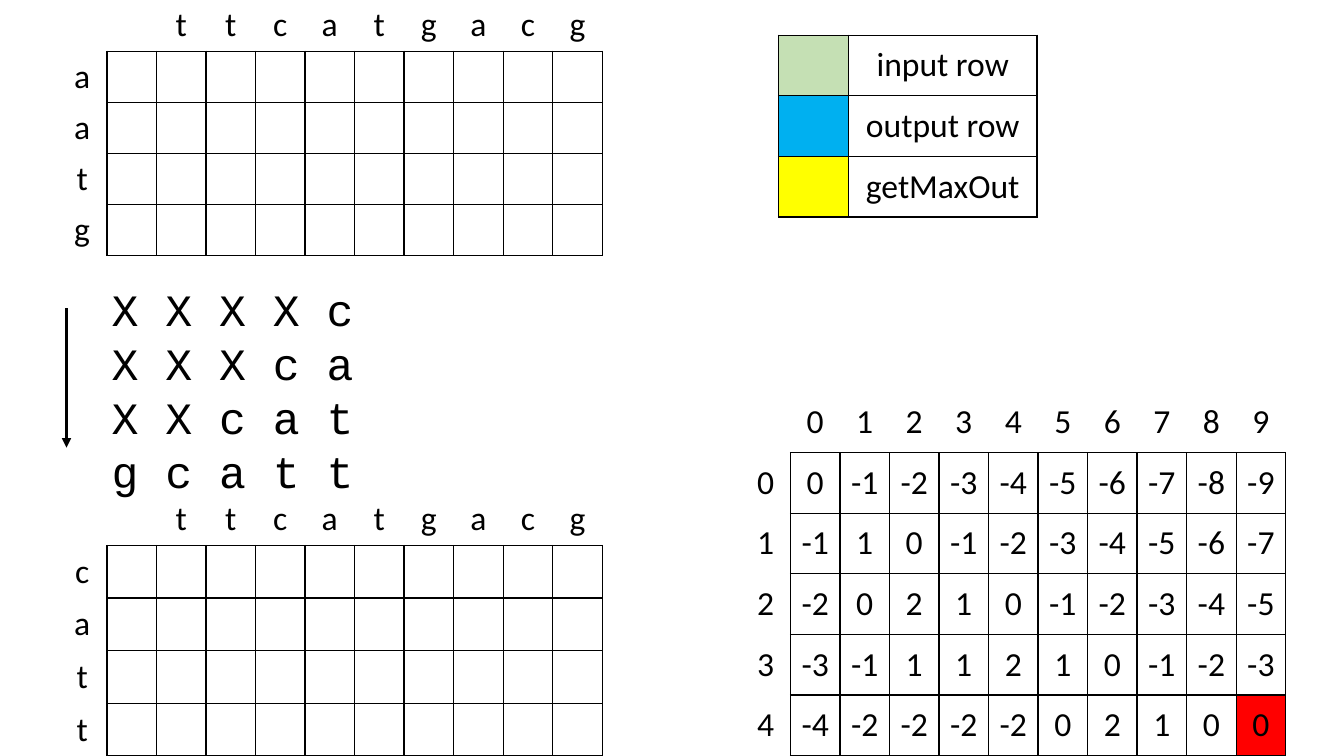
from dataclasses import dataclass, field

from lxml import etree
from pptx import Presentation
from pptx.dml.color import RGBColor
from pptx.enum import shapes, text
from pptx.oxml import ns
from pptx.util import Pt

COLORS = {
    "ink": "000000",
    "input": "C5E0B4",
    "output": "00B0F0",
    "maximum": "FFFF00",
    "result": "FF0000",
}
SIDES = {"left": "a:lnL", "right": "a:lnR", "top": "a:lnT", "bottom": "a:lnB"}
CELL_WIDTH = 35.4


@dataclass
class Grid:
    left: float
    top: float
    widths: list[float]
    row_height: float
    rows: list[list[str]]
    labelled: bool = True
    fills: dict[tuple[int, int], str] = field(default_factory=dict)


def color(name: str) -> RGBColor:
    return RGBColor.from_string(COLORS[name])


def style_text(frame, size: float, font: str, alignment) -> None:
    for paragraph in frame.paragraphs:
        paragraph.alignment = alignment
        for span in paragraph.runs:
            span.font.size = Pt(size)
            span.font.name = font
            span.font.color.rgb = color("ink")


def set_borders(cell, visible: set[str]) -> None:
    """Draw the visible sides in ink and hide the others."""
    properties = cell._tc.get_or_add_tcPr()
    for side, tag in SIDES.items():
        line = etree.SubElement(properties, ns.qn(tag), w=str(Pt(1)))
        if side in visible:
            solid = etree.SubElement(line, ns.qn("a:solidFill"))
            etree.SubElement(solid, ns.qn("a:srgbClr"), val=COLORS["ink"])
        else:
            etree.SubElement(line, ns.qn("a:noFill"))


def visible_sides(grid: Grid, row: int, column: int) -> set[str]:
    """Labels only carry the side that touches the body of the grid."""
    if not grid.labelled or (row and column):
        return set(SIDES)
    if row:
        return {"right"}
    return {"bottom"} if column else set()


def draw_grid(page, grid: Grid) -> None:
    row_count, column_count = len(grid.rows), len(grid.widths)
    table = page.shapes.add_table(
        row_count, column_count, Pt(grid.left), Pt(grid.top),
        Pt(sum(grid.widths)), Pt(grid.row_height * row_count),
    ).table
    table.first_row = False
    table.horz_banding = False
    for column, width in zip(table.columns, grid.widths):
        column.width = Pt(width)
    for r, words in enumerate(grid.rows):
        table.rows[r].height = Pt(grid.row_height)
        for c, word in enumerate(words):
            cell = table.cell(r, c)
            set_borders(cell, visible_sides(grid, r, c))
            if (r, c) in grid.fills:
                cell.fill.solid()
                cell.fill.fore_color.rgb = color(grid.fills[r, c])
            else:
                cell.fill.background()
            cell.vertical_anchor = text.MSO_ANCHOR.MIDDLE
            if word:
                cell.text_frame.text = word
                style_text(cell.text_frame, 24, "Calibri", text.PP_ALIGN.CENTER)


def alignment_grid(top: float, row_height: float, query: str) -> Grid:
    """Empty grid with the target sequence on top and the query at the side."""
    header = ["", "", *"ttcatgacg"]
    body = [[letter] + [""] * (len(header) - 1) for letter in query]
    return Grid(41, top, [CELL_WIDTH] * len(header), row_height, [header, *body])


def score_grid() -> Grid:
    scores = [
        "0 -1 -2 -3 -4 -5 -6 -7 -8 -9",
        "-1 1 0 -1 -2 -3 -4 -5 -6 -7",
        "-2 0 2 1 0 -1 -2 -3 -4 -5",
        "-3 -1 1 1 2 1 0 -1 -2 -3",
        "-4 -2 -2 -2 -2 0 2 1 0 0",
    ]
    header = ["", *"0123456789"]
    body = [[str(index), *line.split()] for index, line in enumerate(scores)]
    return Grid(529.2, 280, [CELL_WIDTH] * len(header), 43.3, [header, *body],
                fills={(5, 10): "result"})


def legend_grid() -> Grid:
    entries = {"input": "input row", "output": "output row", "maximum": "getMaxOut"}
    fills = {(row, 0): name for row, name in enumerate(entries)}
    rows = [["", label] for label in entries.values()]
    return Grid(556, 25.2, [50, 134.8], 43.3, rows, False, fills)


def draw_shift_steps(page) -> None:
    box = page.shapes.add_textbox(Pt(72.7), Pt(198), Pt(396), Pt(162.7))
    frame = box.text_frame
    frame.word_wrap = True
    frame.auto_size = text.MSO_AUTO_SIZE.SHAPE_TO_FIT_TEXT
    frame.text = "X X X X c\nX X X c a\nX X c a t\ng c a t t"
    style_text(frame, 32, "Courier New", text.PP_ALIGN.LEFT)


def draw_time_arrow(page) -> None:
    arrow = page.shapes.add_connector(
        shapes.MSO_CONNECTOR.STRAIGHT, Pt(47.5), Pt(220.3), Pt(47.5), Pt(319.7))
    arrow.line.color.rgb = color("ink")
    arrow.line.width = Pt(2.25)
    etree.SubElement(arrow.line._get_or_add_ln(), ns.qn("a:tailEnd"), type="triangle")
    etree.SubElement(arrow._element.spPr, ns.qn("a:effectLst"))


def main() -> None:
    deck = Presentation()
    deck.slide_width, deck.slide_height = Pt(960), Pt(540)
    page = deck.slides.add_slide(deck.slide_layouts[6])
    draw_grid(page, alignment_grid(0, 36.5, "aatg"))
    draw_grid(page, score_grid())
    draw_grid(page, alignment_grid(352, 37.6, "catt"))
    draw_shift_steps(page)
    draw_grid(page, legend_grid())
    draw_time_arrow(page)
    deck.save("out.pptx")


if __name__ == "__main__":
    main()
